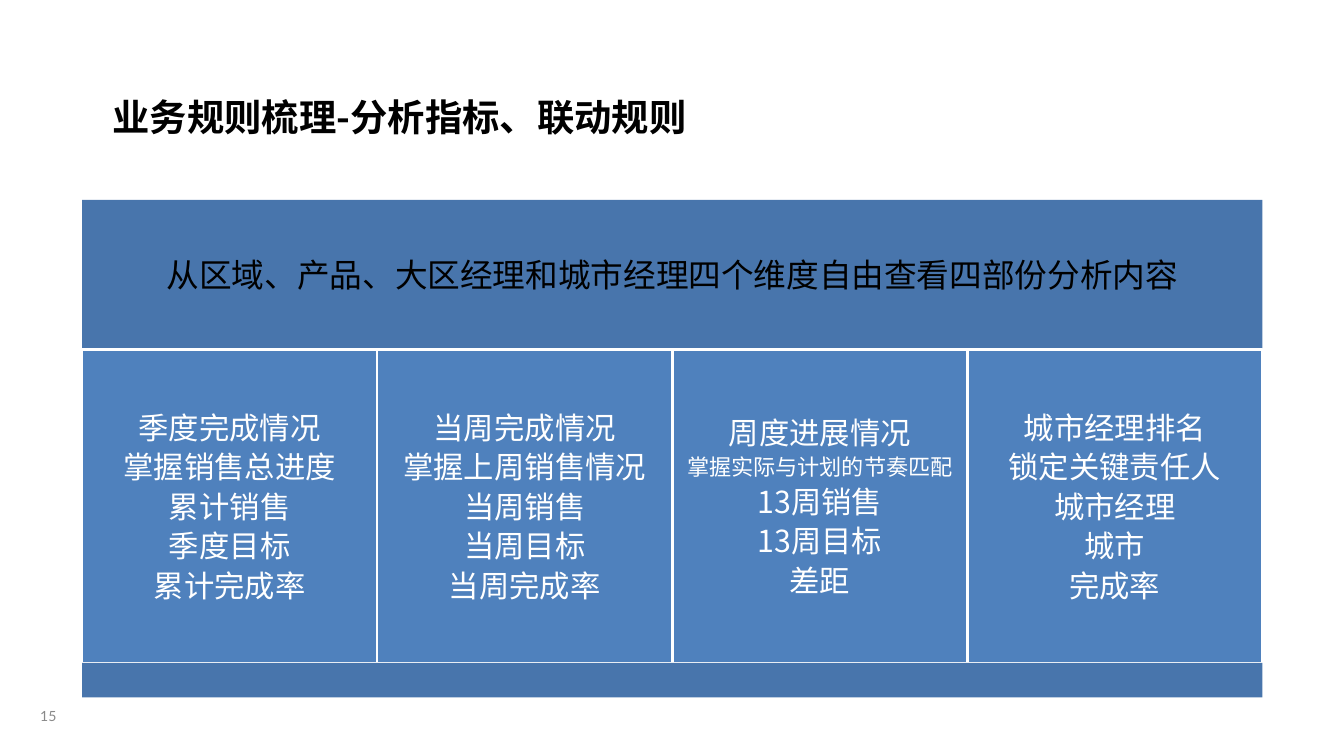
from pptx import Presentation
from pptx.dml.color import RGBColor
from pptx.enum.shapes import MSO_SHAPE
from pptx.enum.text import MSO_ANCHOR, PP_ALIGN
from pptx.oxml.ns import qn
from pptx.util import Pt
from lxml.etree import SubElement

CJK = "Noto Sans CJK SC"
WHITE, BLACK, GREY = "FFFFFF", "000000", "898989"
BAND_BLUE, COLUMN_BLUE = "4875AC", "4F81BD"

# Panel geometry in points
LEFT, TOP, WIDTH = 70.5, 171.4, 1011.6
HEADER_H, COLUMN_H, FOOTER_H = 128.2, 268.6, 29.5

BODY_SIZE = 26
COLUMNS = [
    ["季度完成情况", "掌握销售总进度", "累计销售", "季度目标", "累计完成率"],
    ["当周完成情况", "掌握上周销售情况", "当周销售", "当周目标", "当周完成率"],
    ["周度进展情况", "掌握实际与计划的节奏匹配", "13周销售", "13周目标", "差距"],
    ["城市经理排名", "锁定关键责任人", "城市经理", "城市", "完成率"],
]
LINE_SIZES = {"掌握实际与计划的节奏匹配": 19}


def color(value):
    return RGBColor.from_string(value)


def write(shape, lines, size=BODY_SIZE, font=CJK, fill=WHITE, bold=False,
          align=PP_ALIGN.CENTER, anchor=MSO_ANCHOR.MIDDLE,
          margins=(8, 8), after=0):
    """Fill a shape with one paragraph per line; margins are (side, top/bottom)."""
    frame = shape.text_frame
    frame.word_wrap = True
    frame.vertical_anchor = anchor
    frame.margin_left = frame.margin_right = Pt(margins[0])
    frame.margin_top = frame.margin_bottom = Pt(margins[1])
    for index, line in enumerate(lines):
        paragraph = frame.add_paragraph() if index else frame.paragraphs[0]
        paragraph.alignment = align
        paragraph.space_after = Pt(after)
        run = paragraph.add_run()
        run.text = line
        run.font.size = Pt(LINE_SIZES.get(line, size))
        run.font.bold = bold
        run.font.name = font
        run.font.color.rgb = color(fill)
        # East Asian typeface
        SubElement(run.font._element, qn("a:ea")).set("typeface", font)


def add_text(slide, x, y, w, h, text, **text_format):
    box = slide.shapes.add_textbox(Pt(x), Pt(y), Pt(w), Pt(h))
    write(box, [text], **text_format)


def add_block(slide, x, y, w, h, fill, border=None):
    block = slide.shapes.add_shape(MSO_SHAPE.RECTANGLE, Pt(x), Pt(y), Pt(w), Pt(h))
    block.shadow.inherit = False
    block.fill.solid()
    block.fill.fore_color.rgb = color(fill)
    if border:
        block.line.color.rgb = color(border)
        block.line.width = Pt(2)
    else:
        block.line.fill.background()
    return block


def main():
    deck = Presentation()
    deck.slide_width, deck.slide_height = Pt(1152), Pt(648)
    slide = deck.slides.add_slide(deck.slide_layouts[6])

    # Page number and title
    add_text(slide, 14.4, 596.2, 54, 34.6, "15", size=12, font="Lato",
             fill=GREY, margins=(5.8, 2.9))
    add_text(slide, 89.3, 77, 810, 46, "业务规则梳理-分析指标、联动规则", size=32,
             fill=BLACK, bold=True, align=PP_ALIGN.LEFT,
             anchor=MSO_ANCHOR.TOP, margins=(7.2, 3.6))

    # Header band
    header = add_block(slide, LEFT, TOP, WIDTH, HEADER_H, BAND_BLUE)
    write(header, ["从区域、产品、大区经理和城市经理四个维度自由查看四部份分析内容"],
          size=28, fill=BLACK, margins=(8.6, 8.6))

    # Four analysis columns
    column_top = TOP + HEADER_H
    column_w = WIDTH / len(COLUMNS)
    for index, lines in enumerate(COLUMNS):
        column = add_block(slide, LEFT + index * column_w, column_top,
                           column_w, COLUMN_H, COLUMN_BLUE, border=WHITE)
        write(column, lines, after=2.7)

    # Footer band
    add_block(slide, LEFT, column_top + COLUMN_H, WIDTH, FOOTER_H, BAND_BLUE)

    deck.save("out.pptx")


if __name__ == "__main__":
    main()
